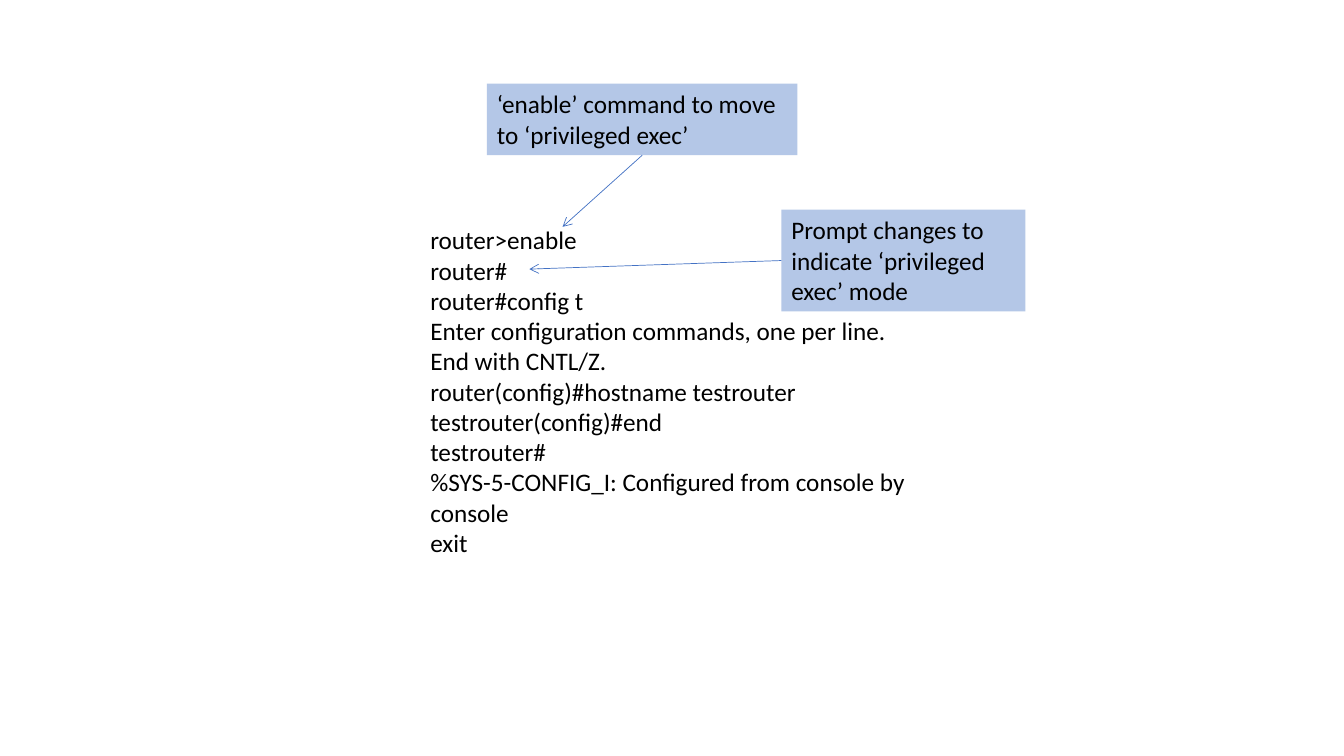
import pptx
import pptx.util
import pptx.dml.color
import pptx.enum.shapes
import pptx.enum.text
import pptx.oxml.ns
import lxml.etree

Inches = pptx.util.Inches
COLOURS = {"text": "000000", "callout": "B4C7E7", "arrow": "4472C4"}
FONT = {"name": "Calibri", "size": pptx.util.Pt(18)}


def colour(name):
    return pptx.dml.color.RGBColor.from_string(COLOURS[name])


def write(box, lines, top_margin=0.05):
    frame = box.text_frame
    layout = {
        "word_wrap": True,
        "auto_size": pptx.enum.text.MSO_AUTO_SIZE.SHAPE_TO_FIT_TEXT,
        "vertical_anchor": pptx.enum.text.MSO_ANCHOR.TOP,
        "margin_top": Inches(top_margin),
    }
    for key, value in layout.items():
        setattr(frame, key, value)
    for index, line in enumerate(lines):
        para = frame.add_paragraph() if index else frame.paragraphs[0]
        para.alignment = pptx.enum.text.PP_ALIGN.LEFT
        span = para.add_run()
        span.text = line
        for key, value in FONT.items():
            setattr(span.font, key, value)
        span.font.color.rgb = colour("text")


deck = pptx.Presentation()
deck.slide_width, deck.slide_height = Inches(13.33), Inches(7.5)
page = deck.slides.add_slide(deck.slide_layouts[6])

# Router session, set one line below the top of its box
session = [
    "router>enable",
    "router#",
    "router#config t",
    "Enter configuration commands, one per line.  End with CNTL/Z.",
    "router(config)#hostname testrouter",
    "testrouter(config)#end",
    "testrouter#",
    "%SYS-5-CONFIG_I: Configured from console by console",
    "exit",
]
console = page.shapes.add_textbox(Inches(4.17), Inches(1.88), Inches(5), Inches(3.74))
write(console, session, top_margin=0.35)

# Callouts: text, position and size, side the arrow leaves from, arrow tip
callouts = [
    ("‘enable’ command to move to ‘privileged exec’",
     (4.83, 0.83, 3.08, 0.71), 2, (5.58, 2.25)),
    ("Prompt changes to indicate ‘privileged exec’ mode",
     (7.75, 2.08, 2.42, 1.01), 1, (5.25, 2.67)),
]
for label, place, side, tip in callouts:
    callout = page.shapes.add_shape(
        pptx.enum.shapes.MSO_SHAPE.RECTANGLE, *map(Inches, place))
    callout.shadow.inherit = False
    callout.fill.solid()
    callout.fill.fore_color.rgb = colour("callout")
    callout.line.fill.background()
    write(callout, [label])

    # Arrow to the matching session line
    tip_x, tip_y = map(Inches, tip)
    arrow = page.shapes.add_connector(
        pptx.enum.shapes.MSO_CONNECTOR.STRAIGHT, tip_x, tip_y, tip_x, tip_y)
    arrow.begin_connect(callout, side)
    arrow.line.color.rgb = colour("arrow")
    arrow.line.width = pptx.util.Pt(0.5)
    outline = arrow.line._get_or_add_ln()
    lxml.etree.SubElement(outline, pptx.oxml.ns.qn("a:tailEnd"), type="arrow")
    lxml.etree.SubElement(arrow._element.spPr, pptx.oxml.ns.qn("a:effectLst"))

deck.save("out.pptx")
